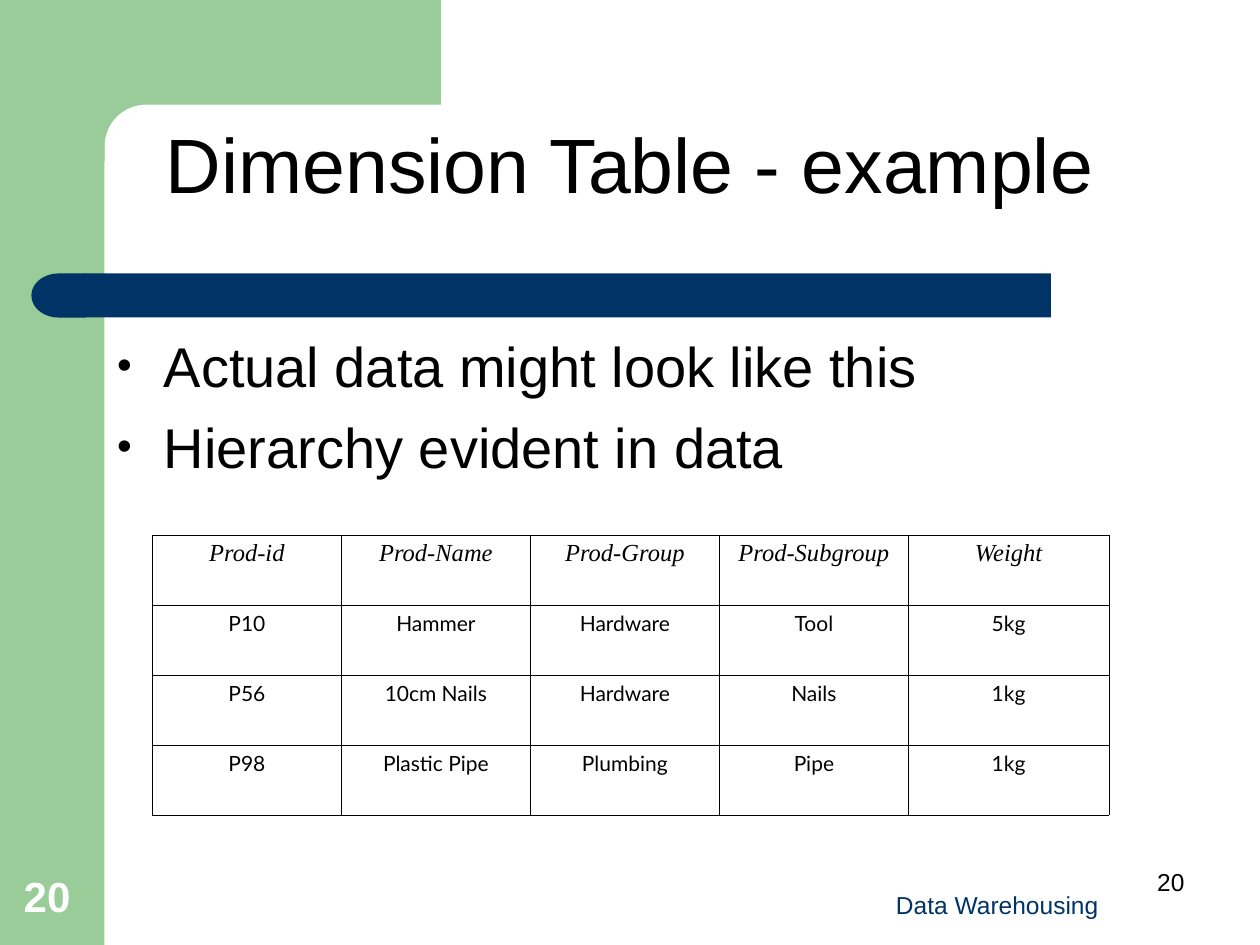
from math import cos, pi, sin

from lxml import etree
from pptx import Presentation
from pptx.dml.color import RGBColor
from pptx.enum.shapes import MSO_SHAPE
from pptx.enum.text import MSO_ANCHOR, MSO_AUTO_SIZE, PP_ALIGN
from pptx.oxml.ns import qn
from pptx.util import Inches, Pt

LEFT, CENTER, RIGHT = PP_ALIGN.LEFT, PP_ALIGN.CENTER, PP_ALIGN.RIGHT
TOP, MIDDLE, BOTTOM = MSO_ANCHOR.TOP, MSO_ANCHOR.MIDDLE, MSO_ANCHOR.BOTTOM
NO_AUTOFIT = MSO_AUTO_SIZE.NONE
RECTANGLE, DELAY = MSO_SHAPE.RECTANGLE, MSO_SHAPE.FLOWCHART_DELAY

COLORS = {"green": "99CC99", "navy": "003366", "black": "000000", "white": "FFFFFF"}
BULLETS = ["Actual data might look like this", "Hierarchy evident in data"]
PRODUCTS = [
    ["Prod-id", "Prod-Name", "Prod-Group", "Prod-Subgroup", "Weight"],
    ["P10", "Hammer", "Hardware", "Tool", "5kg"],
    ["P56", "10cm Nails", "Hardware", "Nails", "1kg"],
    ["P98", "Plastic Pipe", "Plumbing", "Pipe", "1kg"],
]
COLUMN_WIDTHS = [1.5, 1.5, 1.5, 1.5, 1.59]
ROW_HEIGHT = 0.555
INNER_BORDER, OUTER_BORDER = 0.11, 0.23


def color(name):
    """Return the named palette colour."""
    return RGBColor.from_string(COLORS[name])


def paint(shape, fill):
    """Give a shape a flat fill without line or shadow."""
    shape.shadow.inherit = False
    shape.fill.solid()
    shape.fill.fore_color.rgb = color(fill)
    shape.line.fill.background()


def add_block(slide, kind, box, fill):
    """Add a flat preset shape."""
    shape = slide.shapes.add_shape(kind, *map(Inches, box))
    paint(shape, fill)
    return shape


def add_corner(slide, radius=0.33, steps=16):
    """Add the top band with its rounded inner corner."""
    center = 0.83 + radius
    angles = [pi / 2 * step / steps for step in range(steps + 1)]
    arc = [(center - radius * sin(a), center - radius * cos(a)) for a in angles]
    points = [(3.5, 0), (3.5, 0.83), *arc, (0.83, 1.28), (0.5, 1.28)]
    builder = slide.shapes.build_freeform(Inches(0.5), 0, scale=1.0)
    builder.add_line_segments([(Inches(x), Inches(y)) for x, y in points])
    paint(builder.convert_to_shape(), "green")


def format_paragraph(paragraph, size, font="Arial", fill="black", align=LEFT,
                     bold=False, italic=False):
    """Align a paragraph and format its runs."""
    paragraph.alignment = align
    for run in paragraph.runs:
        run.font.size = Pt(size)
        run.font.name = font
        run.font.bold = bold
        run.font.italic = italic
        run.font.color.rgb = color(fill)


def fill_text(shape, lines, anchor, **style):
    """Write formatted lines into a shape."""
    frame = shape.text_frame
    frame.text = "\n".join(lines)
    frame.word_wrap = True
    frame.auto_size = NO_AUTOFIT
    frame.vertical_anchor = anchor
    for paragraph in frame.paragraphs:
        format_paragraph(paragraph, **style)


def add_label(slide, text, box, anchor, **style):
    """Add a one-line text box."""
    label = slide.shapes.add_textbox(*map(Inches, box))
    fill_text(label, [text], anchor, **style)


def place_placeholder(shape, box):
    """Move a placeholder into position, in front of earlier shapes."""
    shape.left, shape.top, shape.width, shape.height = map(Inches, box)
    shape.element.getparent().append(shape.element)


def set_bullet(paragraph):
    """Give a paragraph a small round bullet with a hanging indent."""
    paragraph.space_before = Pt(8)
    properties = paragraph._p.get_or_add_pPr()
    properties.set("marL", str(Inches(0.37)))
    properties.set("indent", str(Inches(-0.37)))
    bullet_color = etree.SubElement(properties, qn("a:buClr"))
    etree.SubElement(bullet_color, qn("a:srgbClr"), val=COLORS["black"])
    etree.SubElement(properties, qn("a:buSzPct"), val="75000")
    etree.SubElement(properties, qn("a:buFont"), typeface="Arial")
    etree.SubElement(properties, qn("a:buChar"), char="•")


def set_borders(cell, outer_edges):
    """Draw the four cell borders, heavier on outer edges."""
    properties = cell._tc.get_or_add_tcPr()
    for index, (side, is_outer) in enumerate(outer_edges.items()):
        width = Pt(OUTER_BORDER if is_outer else INNER_BORDER)
        line = etree.Element(qn(f"a:ln{side}"), w=str(width))
        fill = etree.SubElement(line, qn("a:solidFill"))
        etree.SubElement(fill, qn("a:srgbClr"), val=COLORS["black"])
        properties.insert(index, line)


def format_cell(cell, text, is_header):
    """Write one table cell in header or body style."""
    cell.fill.background()
    cell.text_frame.text = text
    paragraph = cell.text_frame.paragraphs[0]
    paragraph.line_spacing = 0.93 if is_header else 0.97
    paragraph.space_before = Pt(3.5 if is_header else 3)
    format_paragraph(paragraph, size=14 if is_header else 12, align=CENTER,
                     font="Times New Roman" if is_header else "Lato", italic=is_header)


def add_product_table(slide):
    """Add the bordered product table."""
    row_count, column_count = len(PRODUCTS), len(COLUMN_WIDTHS)
    box = (1.21, 4.25, sum(COLUMN_WIDTHS), ROW_HEIGHT * row_count)
    table = slide.shapes.add_table(row_count, column_count, *map(Inches, box)).table
    table.first_row = table.horz_banding = False
    for column, width in zip(table.columns, COLUMN_WIDTHS):
        column.width = Inches(width)
    for row, values in enumerate(PRODUCTS):
        table.rows[row].height = Inches(ROW_HEIGHT)
        for column, text in enumerate(values):
            cell = table.cell(row, column)
            format_cell(cell, text, row == 0)
            set_borders(cell, {"L": column == 0, "R": column == column_count - 1,
                               "T": row == 0, "B": row == row_count - 1})


def main():
    """Build and save the slide."""
    presentation = Presentation()
    presentation.slide_width, presentation.slide_height = Inches(10), Inches(7.5)
    slide = presentation.slides.add_slide(presentation.slide_layouts[1])
    title, body = slide.placeholders

    add_block(slide, RECTANGLE, (0, 0, 0.83, 7.5), "green")
    add_corner(slide)
    add_block(slide, RECTANGLE, (0.67, 2.17, 7.67, 0.35), "navy")
    cap = add_block(slide, DELAY, (0.25, 2.17, 0.43, 0.35), "navy")
    cap.element.spPr.xfrm.set("flipH", "1")

    add_label(slide, "20", (7.17, 6.83, 2.33, 0.52), TOP, size=14, align=RIGHT)
    place_placeholder(title, (0.5, 0.67, 9, 1.25))
    fill_text(title, ["Dimension Table - example"], MIDDLE, size=44, align=CENTER)
    place_placeholder(body, (0.83, 2.58, 7.75, 1.42))
    fill_text(body, BULLETS, TOP, size=32)
    for paragraph in body.text_frame.paragraphs:
        set_bullet(paragraph)
    add_product_table(slide)
    add_label(slide, "Data Warehousing", (6.33, 6.83, 3.17, 0.52), BOTTOM,
              size=14, fill="navy", align=CENTER)
    add_label(slide, "20", (0.09, 6.83, 0.64, 0.53), BOTTOM,
              size=24, fill="white", bold=True)
    presentation.save("out.pptx")


if __name__ == "__main__":
    main()
